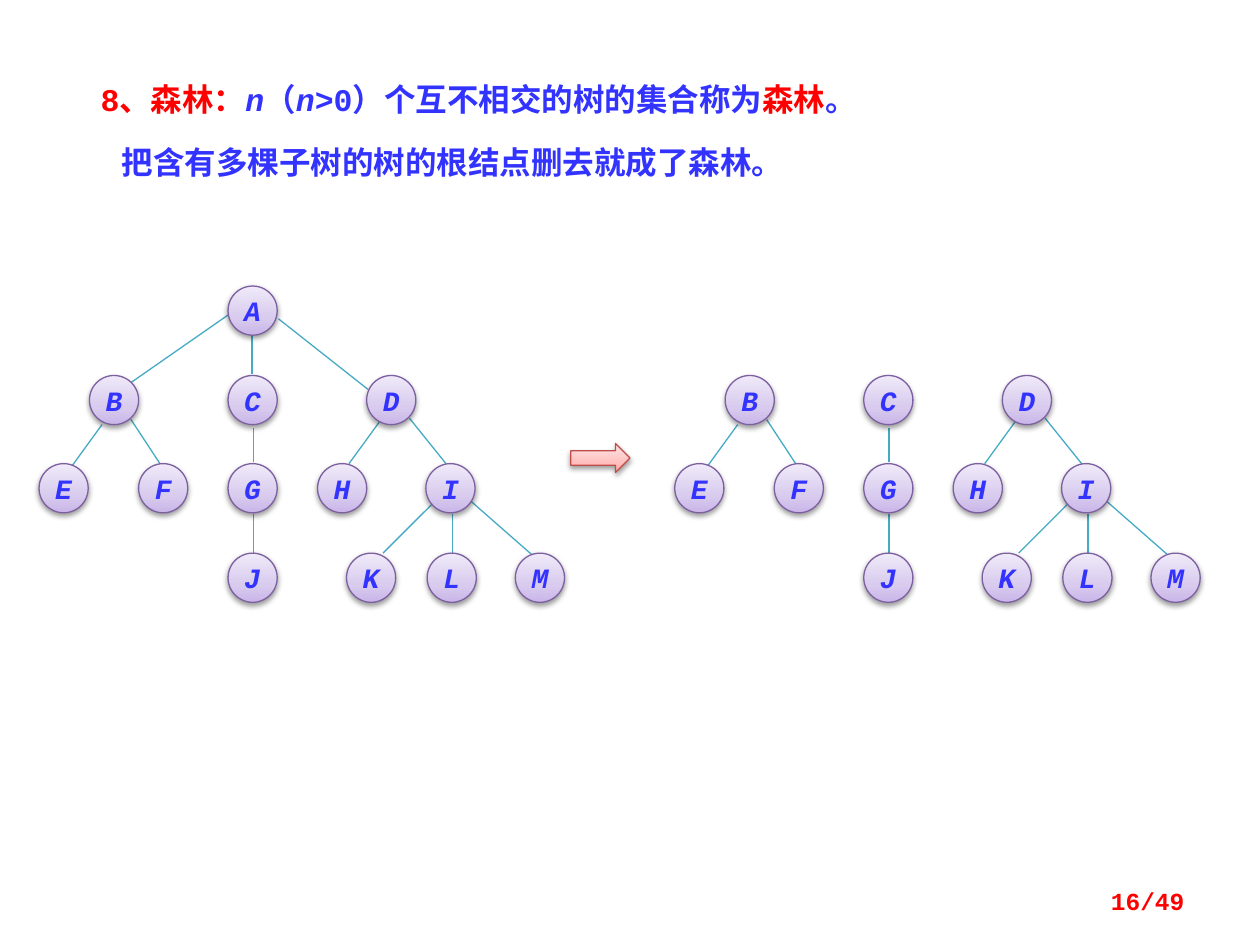
from copy import deepcopy

from lxml.etree import SubElement
from pptx import Presentation
from pptx.dml.color import RGBColor
from pptx.enum.shapes import MSO_CONNECTOR, MSO_SHAPE
from pptx.enum.text import MSO_ANCHOR, PP_ALIGN
from pptx.oxml.ns import qn
from pptx.util import Inches, Pt

COLORS = {"red": "FF0000", "blue": "3333FF", "edge": "46AAC5",
          "node line": "7D60A0", "arrow line": "BF4C48", "shadow": "000000"}
NODE_FILL = ((0, "C9B5E8"), (0.35, "D8CBEE"), (1, "F0EAF9"))
ARROW_FILL = ((0, "FFA6A5"), (0.35, "FFC0BF"), (1, "FFE7E7"))
LATIN, CHINESE = "Courier New", "Noto Sans CJK JP"

# Each run: text, colour, italic
DEFINITION = [("8、森林：", "red", False), ("n", "blue", True),
              ("（", "blue", False), ("n", "blue", True),
              (">0）个互不相交的树的集合称为", "blue", False),
              ("森林", "red", False), ("。", "blue", False)]
EXPLANATION = [("把含有多棵子树的树的根结点删去就成了森林。", "blue", False)]

# Top of each level, with the left of every node on it
LEVELS = [
    (2.27, {"A": 1.81}),
    (2.98, {"B": 0.71, "C": 1.81, "D": 2.91}),
    (3.68, {"E": 0.31, "F": 1.1, "G": 1.81, "H": 2.52, "I": 3.38}),
    (4.39, {"J": 1.81, "K": 2.75, "L": 3.39, "M": 4.09}),
]
# Parent and child, start point, end point
EDGES = [
    ("AB", (1.81, 2.5), (1.02, 3.05)), ("AC", (2, 2.66), (2, 2.97)),
    ("AD", (2.21, 2.53), (2.92, 3.09)), ("BE", (0.81, 3.37), (0.57, 3.7)),
    ("BF", (1.04, 3.33), (1.27, 3.68)), ("CG", (2.01, 3.4), (2.01, 3.67)),
    ("GJ", (2.01, 4.08), (2.01, 4.39)), ("DH", (3.01, 3.35), (2.77, 3.68)),
    ("DI", (3.25, 3.32), (3.54, 3.68)), ("IK", (3.43, 4), (3.04, 4.39)),
    ("IL", (3.59, 4.08), (3.59, 4.39)), ("IM", (3.74, 3.98), (4.23, 4.41)),
]
NODE_SIZE = 0.39
FOREST_SHIFT = 5.045


def rgb(name):
    return RGBColor.from_string(COLORS[name])


def add_span(para, text, size=18, color="blue", italic=False):
    span = para.add_run()
    span.text = text
    font = span.font
    font.name, font.size, font.bold, font.italic = LATIN, Pt(size), True, italic
    font.color.rgb = rgb(color)
    SubElement(font._element, qn("a:ea"), typeface=CHINESE)


def add_raised_shape(page, kind, place, stops, line):
    """Add a preset shape with an upward gradient and a soft shadow below."""
    shape = page.shapes.add_shape(kind, *(Inches(value) for value in place))
    shape.fill.gradient()
    shape.fill.gradient_angle = 90
    stop_list = shape._element.spPr.find(".//" + qn("a:gsLst"))
    stop_list.append(deepcopy(stop_list[0]))
    for stop, (position, color) in zip(shape.fill.gradient_stops, stops):
        stop.position = position
        stop.color.rgb = RGBColor.from_string(color)
    shape.line.color.rgb = rgb(line)
    shape.line.width = Pt(0.75)
    shape.shadow.inherit = False
    effects = shape._element.spPr.find(qn("a:effectLst"))
    shadow = SubElement(effects, qn("a:outerShdw"), blurRad=str(Pt(3.1)),
                        dist=str(Pt(1.6)), dir="5400000", rotWithShape="0")
    color = SubElement(shadow, qn("a:srgbClr"), val=COLORS["shadow"])
    SubElement(color, qn("a:alpha"), val="38000")
    return shape


def add_edge(page, start, end, shift):
    edge = page.shapes.add_connector(
        MSO_CONNECTOR.STRAIGHT, Inches(start[0] + shift), Inches(start[1]),
        Inches(end[0] + shift), Inches(end[1]))
    edge.line.color.rgb = rgb("edge")
    edge.line.width = Pt(0.75)
    SubElement(edge._element.spPr, qn("a:effectLst"))


def add_node(page, name, left, top):
    node = add_raised_shape(page, MSO_SHAPE.OVAL,
                            (left, top, NODE_SIZE, NODE_SIZE),
                            NODE_FILL, "node line")
    frame = node.text_frame
    frame.word_wrap = False
    frame.vertical_anchor = MSO_ANCHOR.MIDDLE
    para = frame.paragraphs[0]
    para.alignment = PP_ALIGN.CENTER
    add_span(para, name, size=16, italic=True)


def add_trees(page, shift=0, without=""):
    for ends, start, end in EDGES:
        if ends[0] not in without:
            add_edge(page, start, end, shift)
    for top, nodes in LEVELS:
        for name, left in nodes.items():
            if name not in without:
                add_node(page, name, left + shift, top)


def add_box(page, left, top, width, height):
    box = page.shapes.add_textbox(Inches(left), Inches(top),
                                  Inches(width), Inches(height))
    box.text_frame.word_wrap = True
    return box.text_frame


def main():
    deck = Presentation()
    deck.slide_width, deck.slide_height = Inches(10), Inches(7.5)
    page = deck.slides.add_slide(deck.slide_layouts[6])

    frame = add_box(page, 0.7, 0.47, 8.63, 0.98)
    first, second = frame.paragraphs[0], frame.add_paragraph()
    second.space_before = Pt(6)
    second._p.get_or_add_pPr().set("indent", str(Inches(0.17)))
    for para, runs in ((first, DEFINITION), (second, EXPLANATION)):
        para.alignment = PP_ALIGN.JUSTIFY
        para.line_spacing = Pt(30)
        for text, color, italic in runs:
            add_span(para, text, color=color, italic=italic)

    add_trees(page)
    add_trees(page, shift=FOREST_SHIFT, without="A")
    add_raised_shape(page, MSO_SHAPE.RIGHT_ARROW, (4.53, 3.52, 0.47, 0.23),
                     ARROW_FILL, "arrow line")

    frame = add_box(page, 7.17, 6.95, 2.33, 0.4)
    frame.vertical_anchor = MSO_ANCHOR.MIDDLE
    frame.paragraphs[0].alignment = PP_ALIGN.RIGHT
    add_span(frame.paragraphs[0], "16/49", size=14, color="red")

    deck.save("out.pptx")


if __name__ == "__main__":
    main()
